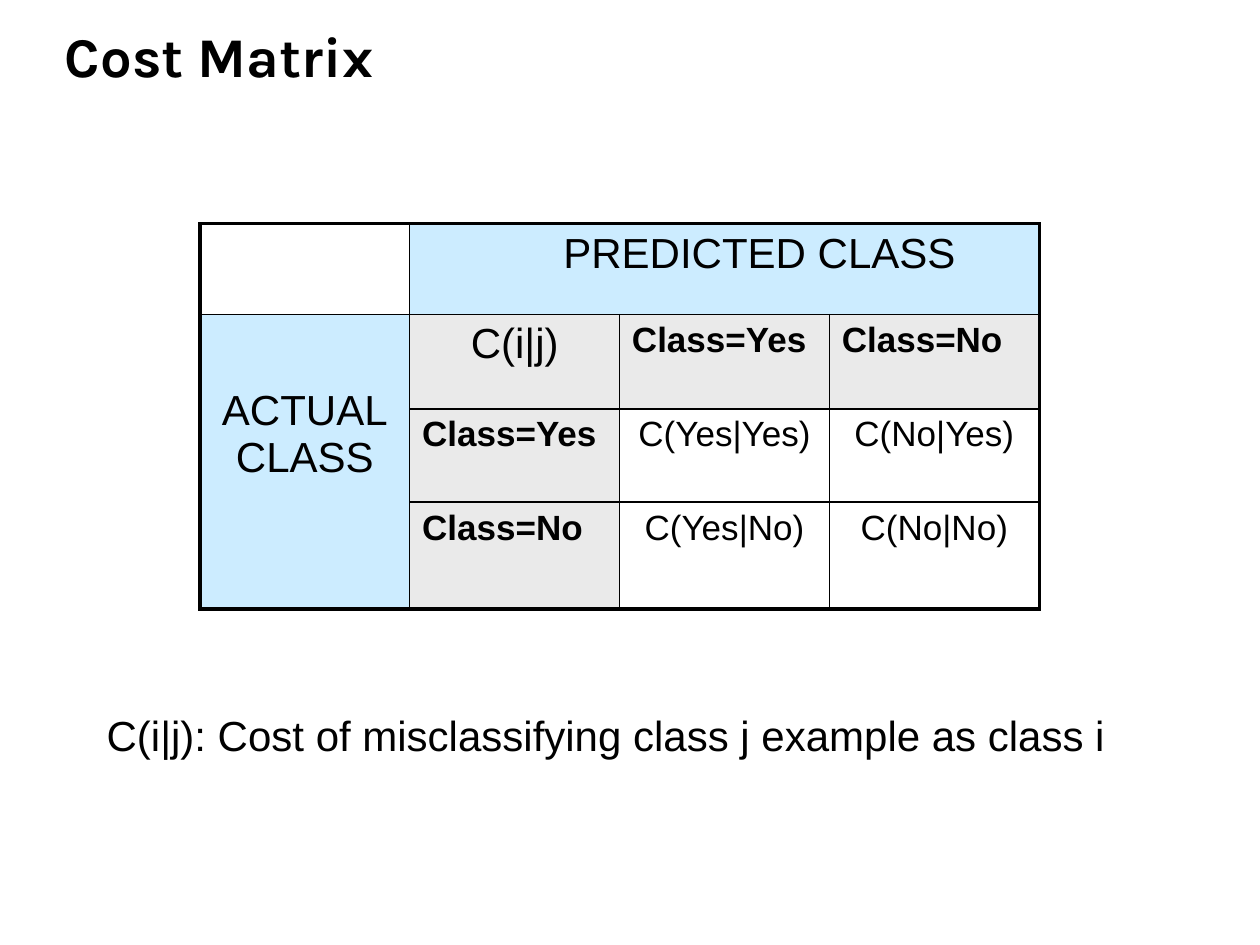
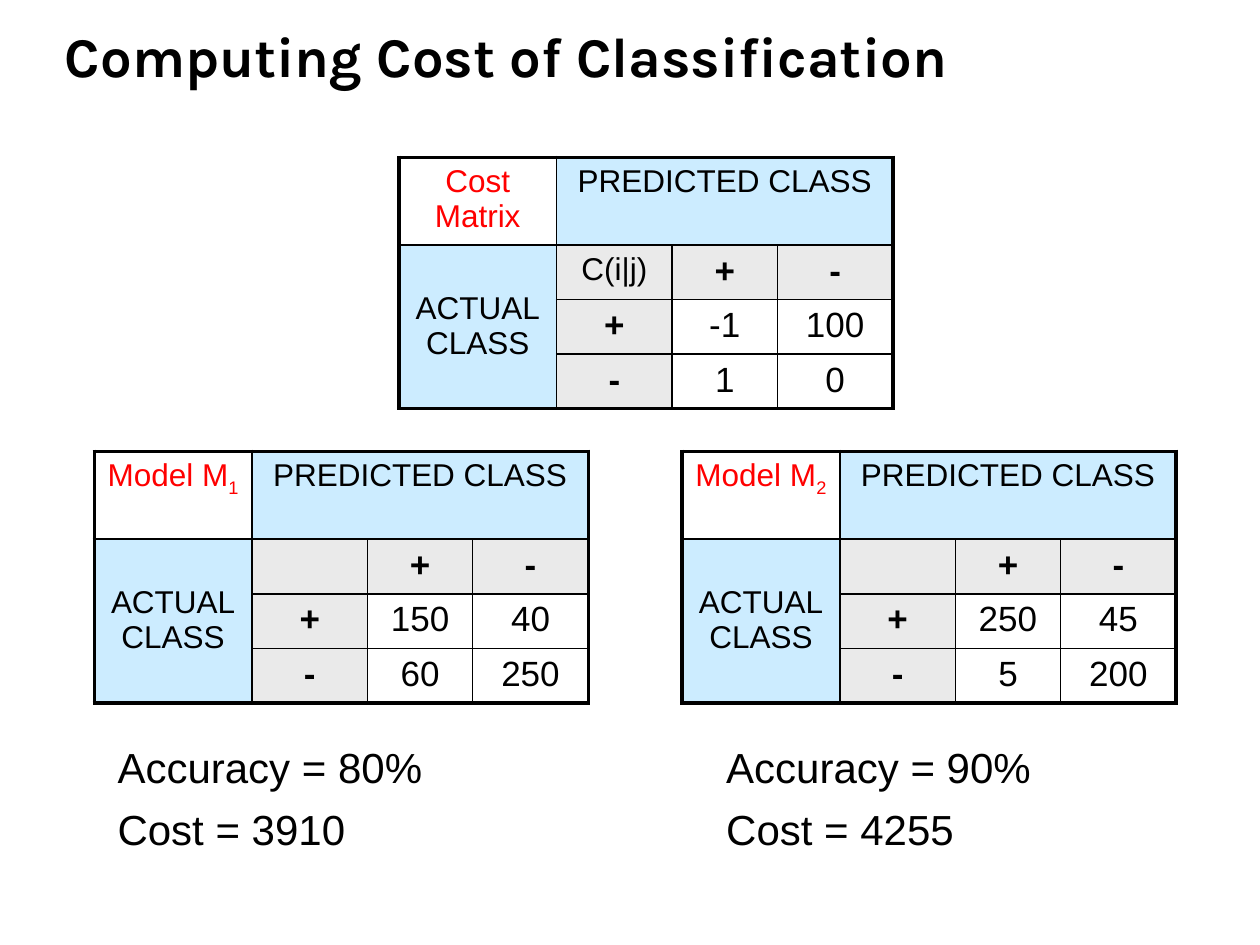
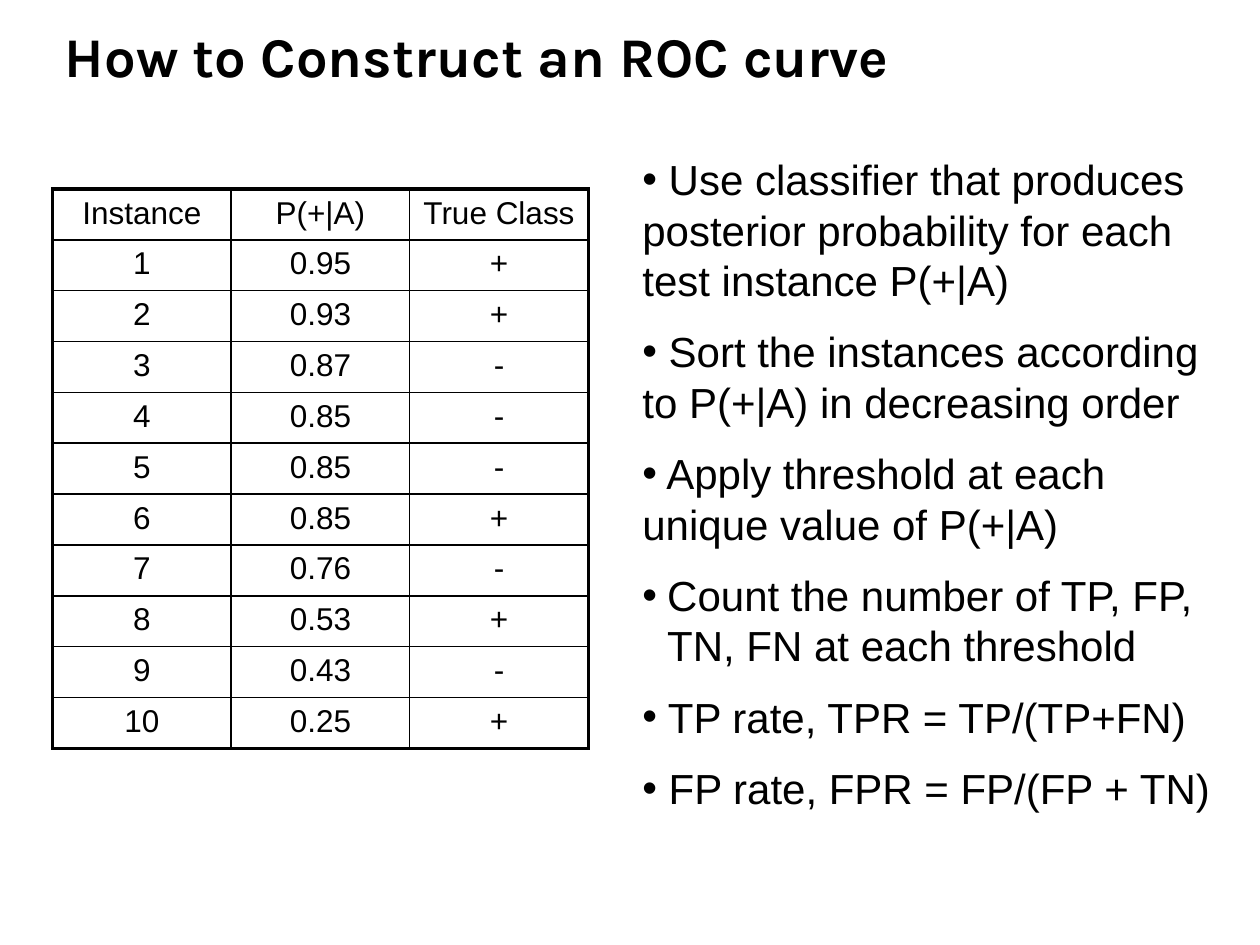
from dataclasses import dataclass

from lxml import etree
from pptx import Presentation
from pptx.dml.color import RGBColor
from pptx.enum.text import MSO_ANCHOR, MSO_AUTO_SIZE, PP_ALIGN
from pptx.oxml.ns import qn
from pptx.util import Cm, Pt

BLACK = RGBColor(0, 0, 0)
RED = RGBColor(0xFF, 0, 0)
BLUE = RGBColor(0xCC, 0xEC, 0xFF)
GREY = RGBColor(0xEA, 0xEA, 0xEA)

LEFT, CENTER = PP_ALIGN.LEFT, PP_ALIGN.CENTER
TOP, BOTTOM = MSO_ANCHOR.TOP, MSO_ANCHOR.BOTTOM
FIXED = MSO_AUTO_SIZE.NONE

LIST_LAYOUT, TITLE_LAYOUT = 1, 5
THIN, THICK = Pt(1), Pt(2.25)
PAD_X, PAD_Y = Cm(0.25), Cm(0.13)


@dataclass
class Matrix:
    """Class counts or costs; shift and drop move the two heading texts."""
    left: float
    top: float
    values: list
    corner: str = ""
    sub: str = ""
    key: str = ""
    labels: tuple = ("+", "-")
    cols: tuple = (3.18, 2.33, 2.12, 2.33)
    rows: tuple = (1.77, 1.1, 1.1, 1.1)
    size: int = 18
    align: PP_ALIGN = CENTER
    shift: float = 0.25
    drop: float = 0.92


@dataclass
class Note:
    left: float
    top: float
    width: float
    height: float
    lines: tuple


@dataclass
class Point:
    text: str
    hang: float = 0


COST = Matrix(4.03, 4.51, [("C(Yes|Yes)", "C(No|Yes)"), ("C(Yes|No)", "C(No|No)")],
              key="C(i|j)", labels=("Class=Yes", "Class=No"), cols=(4.23,) * 4,
              rows=(1.83, 1.9, 1.88, 2.16), size=24, align=LEFT, shift=1.66, drop=1.47)
MEANING = Note(1.9, 14.17, 21.8, 2.54,
               ("C(i|j): Cost of misclassifying class j example as class i",))

MODELS = [
    Matrix(8.04, 3.17, [("-1", "100"), ("1", "0")], corner="Cost Matrix", key="C(i|j)"),
    Matrix(1.9, 9.1, [("150", "40"), ("60", "250")], corner="Model M", sub="1"),
    Matrix(13.75, 9.1, [("250", "45"), ("5", "200")], corner="Model M", sub="2"),
]
SCORES = [
    Note(2.12, 14.82, 8.47, 2.75, ("Accuracy = 80%", "Cost = 3910")),
    Note(14.39, 14.82, 8.47, 2.75, ("Accuracy = 90%", "Cost = 4255")),
]

RANKED = [
    ("Instance", "P(+|A)", "True Class"),
    ("1", "0.95", "+"),
    ("2", "0.93", "+"),
    ("3", "0.87", "-"),
    ("4", "0.85", "-"),
    ("5", "0.85", "-"),
    ("6", "0.85", "+"),
    ("7", "0.76", "-"),
    ("8", "0.53", "+"),
    ("9", "0.43", "-"),
    ("10", "0.25", "+"),
]
RANK_HEIGHT = 11.28
STEPS = [
    Point(" Use classifier that produces posterior probability for each test instance P(+|A)"),
    Point(" Sort the instances according to P(+|A) in decreasing order"),
    Point(" Apply threshold at each unique value of P(+|A)"),
    Point("Count the number of TP, FP,\vTN, FN at each threshold", hang=0.5),
    Point(" TP rate, TPR = TP/(TP+FN)"),
    Point(" FP rate, FPR = FP/(FP + TN)"),
]


def write(para, text: str, *, size: float = 24, font: str = "Arial", bold: bool = False,
          color: RGBColor = BLACK, align: PP_ALIGN = LEFT, before: float = 0,
          line: float = 1.0, sub: str = "") -> None:
    """Set a paragraph's text and format, with an optional subscript at its end."""
    para.text = text
    if sub:
        low = para.add_run()
        low.text = sub
        low.font._element.set("baseline", "-25000")
    para.alignment = align
    para.space_before = Pt(before)
    para.line_spacing = line
    for run in para.runs:
        run.font.size = Pt(size)
        run.font.name = font
        run.font.bold = bold
        run.font.color.rgb = color


def place(shape, left: float, top: float, width: float, height: float) -> None:
    shape.left, shape.top = Cm(left), Cm(top)
    shape.width, shape.height = Cm(width), Cm(height)


def set_frame(frame, anchor: MSO_ANCHOR) -> None:
    frame.word_wrap = True
    frame.auto_size = FIXED
    frame.vertical_anchor = anchor
    frame.margin_left = frame.margin_right = PAD_X
    frame.margin_top = frame.margin_bottom = PAD_Y


def add_page(deck, layout: int, title: str):
    slide = deck.slides.add_slide(deck.slide_layouts[layout])
    head = slide.shapes.title
    place(head, 1.06, 0.44, 23, 1.48)
    set_frame(head.text_frame, BOTTOM)
    write(head.text_frame.paragraphs[0], title, size=32, font="Karla", bold=True, line=1.12)
    return slide


def add_note(slide, note: Note) -> None:
    box = slide.shapes.add_textbox(Cm(note.left), Cm(note.top), Cm(note.width), Cm(note.height))
    frame = box.text_frame
    set_frame(frame, TOP)
    for i, text in enumerate(note.lines):
        para = frame.add_paragraph() if i else frame.paragraphs[0]
        write(para, text, before=6.4 if i else 0)


def add_grid(slide, left: float, top: float, cols: tuple, rows: tuple):
    frame = slide.shapes.add_table(len(rows), len(cols), Cm(left), Cm(top),
                                   Cm(sum(cols)), Cm(sum(rows)))
    table = frame.table
    table.first_row = table.horz_banding = False
    for col, width in zip(table.columns, cols):
        col.width = Cm(width)
    for row, height in zip(table.rows, rows):
        row.height = Cm(height)
    return table


def add_edges(table) -> None:
    """Rule every cell, thick round the table and thin within; clear the fills."""
    high, wide = len(table.rows), len(table.columns)
    for r in range(high):
        for c in range(wide):
            cell = table.cell(r, c)
            outer = {
                "L": c == 0,
                "R": c + cell.span_width == wide,
                "T": r == 0,
                "B": r + cell.span_height == high,
            }
            props = cell._tc.get_or_add_tcPr()
            for side, edge in outer.items():
                rule = etree.SubElement(props, qn(f"a:ln{side}"), w=str(THICK if edge else THIN))
                fill = etree.SubElement(rule, qn("a:solidFill"))
                etree.SubElement(fill, qn("a:srgbClr"), val=str(BLACK))
            cell.fill.background()


def put(cell, text: str, fill: RGBColor | None = None, **style) -> None:
    cell.margin_left = cell.margin_right = PAD_X
    cell.margin_top = cell.margin_bottom = PAD_Y
    if fill is not None:
        cell.fill.solid()
        cell.fill.fore_color.rgb = fill
    if text:
        write(cell.text_frame.paragraphs[0], text, **{"align": CENTER, **style})


def add_matrix(slide, data: Matrix) -> None:
    table = add_grid(slide, data.left, data.top, data.cols, data.rows)
    head, side = table.cell(0, 1), table.cell(1, 0)
    head.merge(table.cell(0, 3))
    side.merge(table.cell(3, 0))
    add_edges(table)

    put(table.cell(0, 0), data.corner, size=data.size, color=RED, sub=data.sub)
    put(head, "PREDICTED CLASS", BLUE, size=data.size)
    head.margin_left = Cm(data.shift)
    put(side, "ACTUAL\vCLASS", BLUE, size=data.size)
    side.margin_top = Cm(data.drop)
    put(table.cell(1, 1), data.key, GREY, size=data.size)

    for i, label in enumerate(data.labels, start=2):
        for cell in (table.cell(1, i), table.cell(i, 1)):
            put(cell, label, GREY, size=20, bold=True, align=data.align)
    for r, row in enumerate(data.values, start=2):
        for c, value in enumerate(row, start=2):
            put(table.cell(r, c), value, size=20)


def add_ranks(slide) -> None:
    count = len(RANKED)
    table = add_grid(slide, 1.06, 3.81, (3.6,) * 3, (RANK_HEIGHT / count,) * count)
    add_edges(table)
    for r, row in enumerate(RANKED):
        for c, text in enumerate(row):
            put(table.cell(r, c), text, size=18)


def add_steps(slide) -> None:
    body = slide.placeholders[1]
    place(body, 12.7, 2.97, 12.07, 13.94)
    frame = body.text_frame
    set_frame(frame, TOP)
    for i, step in enumerate(STEPS):
        para = frame.add_paragraph() if i else frame.paragraphs[0]
        props = para._p.get_or_add_pPr()
        props.set("marL", str(Cm(step.hang)))
        props.set("indent", str(-Cm(step.hang)))
        etree.SubElement(props, qn("a:buFont"), typeface="Arial")
        etree.SubElement(props, qn("a:buChar"), char="•")
        write(para, step.text, before=12 if i else 0)


def main() -> None:
    deck = Presentation()
    deck.slide_width, deck.slide_height = Cm(25.4), Cm(19.05)

    slide = add_page(deck, TITLE_LAYOUT, "Cost Matrix")
    add_matrix(slide, COST)
    add_note(slide, MEANING)

    slide = add_page(deck, TITLE_LAYOUT, "Computing Cost of Classification")
    for model in MODELS:
        add_matrix(slide, model)
    for score in SCORES:
        add_note(slide, score)

    slide = add_page(deck, LIST_LAYOUT, "How to Construct an ROC curve")
    add_ranks(slide)
    add_steps(slide)

    deck.save("out.pptx")


if __name__ == "__main__":
    main()
